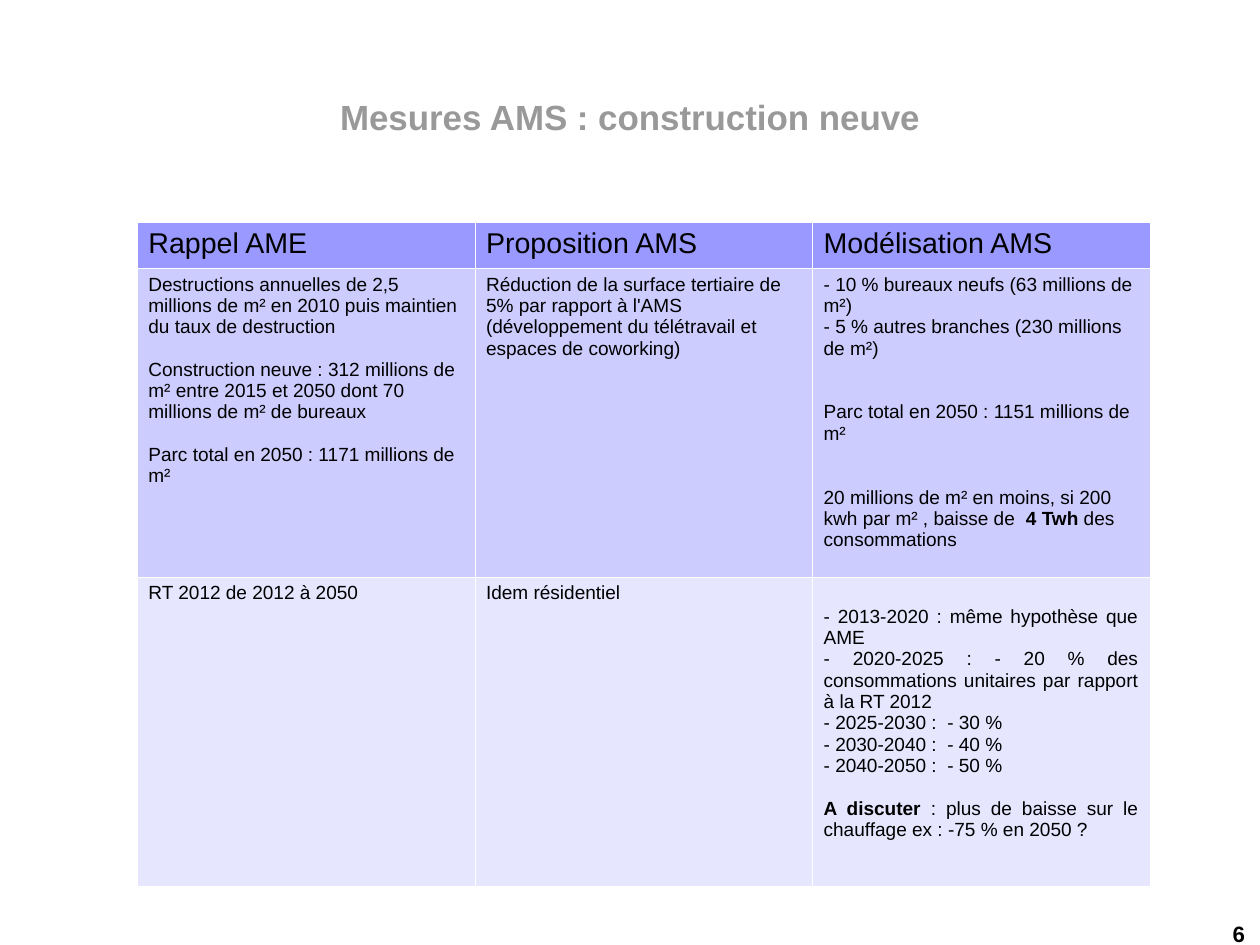
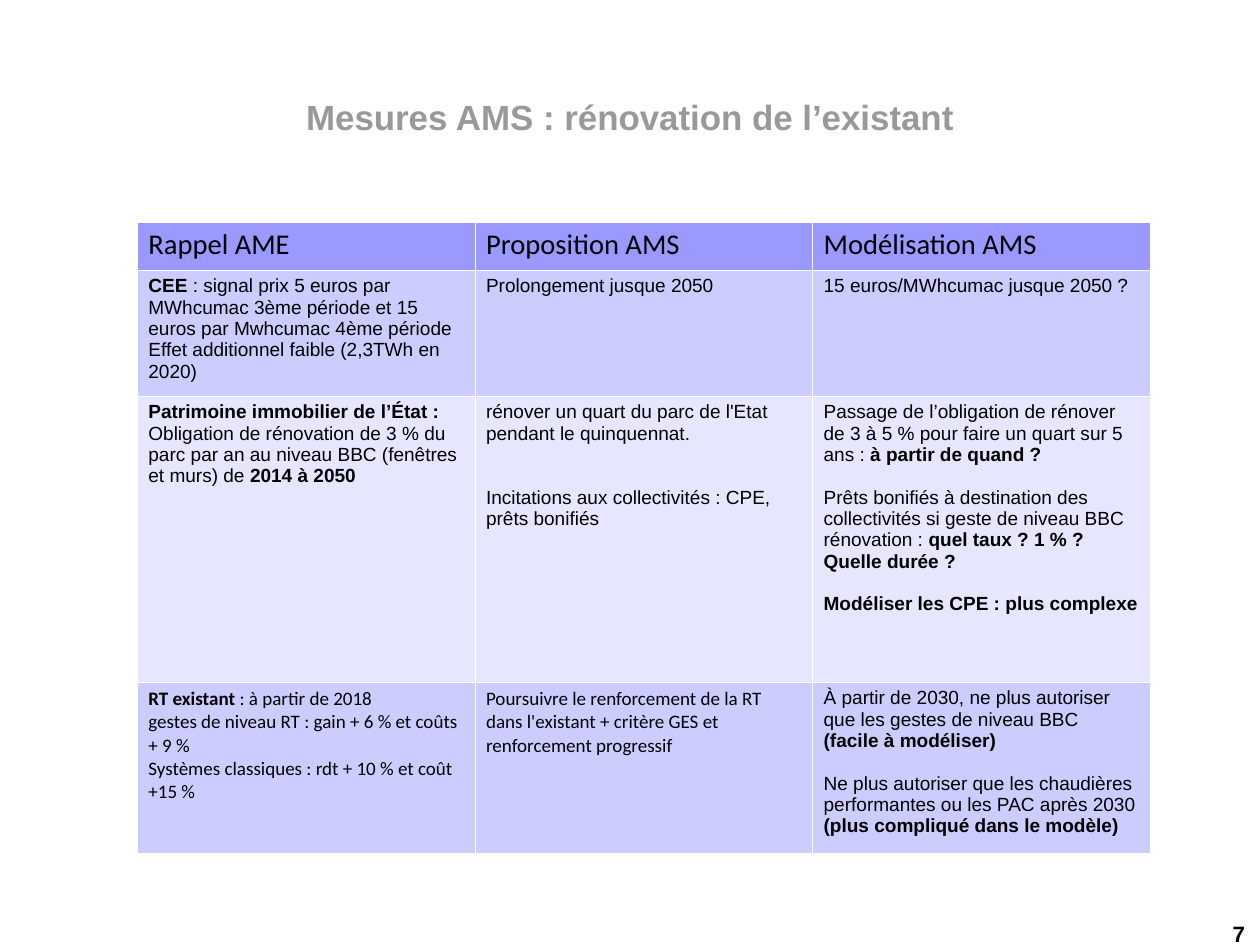
from pptx import Presentation
from pptx.dml.color import RGBColor
from pptx.enum.text import MSO_ANCHOR, PP_ALIGN
from pptx.oxml import parse_xml
from pptx.util import Pt

PX = 8000  # EMU in one px

# Shared look
BLACK = RGBColor(0x00, 0x00, 0x00)
TITLE_GREY = RGBColor(0x99, 0x99, 0x99)
HEADER_FILL = RGBColor(0x99, 0x99, 0xFF)
BAND_FILLS = [RGBColor(0xCC, 0xCC, 0xFF), RGBColor(0xE6, 0xE6, 0xFF)]
ARIAL, CALIBRI = "Arial", "Calibri"
BLANK_LINE = 13.4  # points
CELL_MARGIN = 6
NS = "http://schemas.openxmlformats.org/drawingml/2006/main"
HEADINGS = ["Rappel AME", "Proposition AMS", "Modélisation AMS"]

# Slide contents: ** marks bold, an empty line marks a gap
SLIDES = [
    {
        "number": "6",
        "title": "Mesures AMS : construction neuve",
        "heights": [46, 309, 309],
        "calibri": [],
        "justified": [(2, 2)],
        "rows": [
            HEADINGS,
            [
                """Destructions annuelles de 2,5 millions de m² en 2010 puis maintien du taux de destruction

Construction neuve : 312 millions de m² entre 2015 et 2050 dont 70 millions de m² de bureaux

Parc total en 2050 : 1171 millions de m²""",
                "Réduction de la surface tertiaire de 5% par rapport à l'AMS "
                "(développement du télétravail et espaces de coworking)",
                """- 10 % bureaux neufs (63 millions de m²)
- 5 % autres branches (230 millions de m²)


Parc total en 2050 : 1151 millions de m²


20 millions de m² en moins, si 200 kwh par m² , baisse de  **4 Twh** des consommations""",
            ],
            [
                "RT 2012 de 2012 à 2050",
                "Idem résidentiel",
                """
- 2013-2020 : même hypothèse que AME
- 2020-2025 : - 20 % des consommations unitaires par rapport à la RT 2012
- 2025-2030 :  - 30 %
- 2030-2040 :  - 40 %
- 2040-2050 :  - 50 %

**A discuter **: plus de baisse sur le chauffage ex : -75 % en 2050 ?""",
            ],
        ],
    },
    {
        "number": "7",
        "title": "Mesures AMS : rénovation de l’existant",
        "heights": [48, 126, 286, 171],
        "calibri": [(0, 0), (0, 1), (0, 2), (3, 0), (3, 1)],
        "justified": [],
        "rows": [
            HEADINGS,
            [
                """**CEE** : signal prix 5 euros par MWhcumac 3ème période et 15 euros par Mwhcumac 4ème période
Effet additionnel faible (2,3TWh en 2020)""",
                "Prolongement jusque 2050",
                "15 euros/MWhcumac jusque 2050 ?",
            ],
            [
                "**Patrimoine immobilier de l’État :** Obligation de rénovation de 3 % du parc "
                "par an au niveau BBC (fenêtres et murs) de **2014 à 2050**",
                """rénover un quart du parc de l'Etat pendant le quinquennat.


Incitations aux collectivités : CPE, prêts bonifiés""",
                """Passage de l’obligation de rénover de 3 à 5 % pour faire un quart sur 5 ans :** à partir de quand ?**

Prêts bonifiés à destination des collectivités si geste de niveau BBC rénovation : **quel taux ? 1 % ?**
**Quelle durée ?**

**Modéliser les CPE : plus complexe**""",
            ],
            [
                """**RT existant **: à partir de 2018
gestes de niveau RT : gain + 6 % et coûts + 9 %
Systèmes classiques : rdt + 10 % et coût +15 %""",
                "Poursuivre le renforcement de la RT dans l'existant + critère GES "
                "et renforcement progressif",
                """À partir de 2030, ne plus autoriser que les gestes de niveau BBC
**(facile à modéliser)**

Ne plus autoriser que les chaudières performantes ou les PAC après 2030
**(plus compliqué dans le modèle)**""",
            ],
        ],
    },
]


def write_text(frame, text, size, font, color, align):
    """Fill a text frame, turning empty lines into paragraph spacing."""
    blanks = 0
    para = None
    for line in text.split("\n"):
        if not line:
            blanks += 1
            continue
        para = frame.paragraphs[0] if para is None else frame.add_paragraph()
        para.alignment = align
        para.space_before = Pt(BLANK_LINE * blanks)
        para.font.size = Pt(size)
        para.font.name = font
        para.font.color.rgb = color
        for index, part in enumerate(line.split("**")):
            if part:
                span = para.add_run()
                span.text = part
                span.font.bold = index % 2 == 1
        blanks = 0


def add_label(page, bounds, text, size, color, align, anchor):
    """Add a bold text box without margins."""
    box = page.shapes.add_textbox(*[length * PX for length in bounds])
    frame = box.text_frame
    frame.word_wrap = True
    frame.vertical_anchor = anchor
    frame.margin_left = frame.margin_right = frame.margin_top = frame.margin_bottom = 0
    write_text(frame, f"**{text}**", size, ARIAL, color, align)


deck = Presentation()
deck.slide_width = 1260 * PX
deck.slide_height = 945 * PX

for content in SLIDES:
    page = deck.slides.add_slide(deck.slide_layouts[6])

    # Page number and title
    add_label(page, (1130, 920, 115, 25), content["number"], 14, BLACK,
              PP_ALIGN.RIGHT, MSO_ANCHOR.TOP)
    add_label(page, (63, 38, 1134, 158), content["title"], 22, TITLE_GREY,
              PP_ALIGN.CENTER, MSO_ANCHOR.MIDDLE)

    # Table with three equal columns
    rows, heights = content["rows"], content["heights"]
    table = page.shapes.add_table(len(rows), len(HEADINGS), 137 * PX, 222 * PX,
                                  1013 * PX, sum(heights) * PX).table
    table.first_row = table.horz_banding = False
    for row_index, texts in enumerate(rows):
        table.rows[row_index].height = heights[row_index] * PX
        is_header = row_index == 0
        for column_index, text in enumerate(texts):
            place = (row_index, column_index)
            cell = table.cell(*place)

            # White borders, then the fill
            for side in ("lnL", "lnR", "lnT", "lnB"):
                cell._tc.get_or_add_tcPr().append(parse_xml(
                    f'<a:{side} xmlns:a="{NS}" w="720"><a:solidFill>'
                    f'<a:srgbClr val="FFFFFF"/></a:solidFill></a:{side}>'))
            cell.fill.solid()
            cell.fill.fore_color.rgb = HEADER_FILL if is_header else BAND_FILLS[(row_index - 1) % 2]

            # A leading gap becomes a deeper top margin
            if text.startswith("\n"):
                cell.margin_top = (CELL_MARGIN + 23) * PX
            write_text(cell.text_frame, text.lstrip("\n"), 18 if is_header else 12,
                       CALIBRI if place in content["calibri"] else ARIAL, BLACK,
                       PP_ALIGN.JUSTIFY if place in content["justified"] else PP_ALIGN.LEFT)

deck.save("out.pptx")
